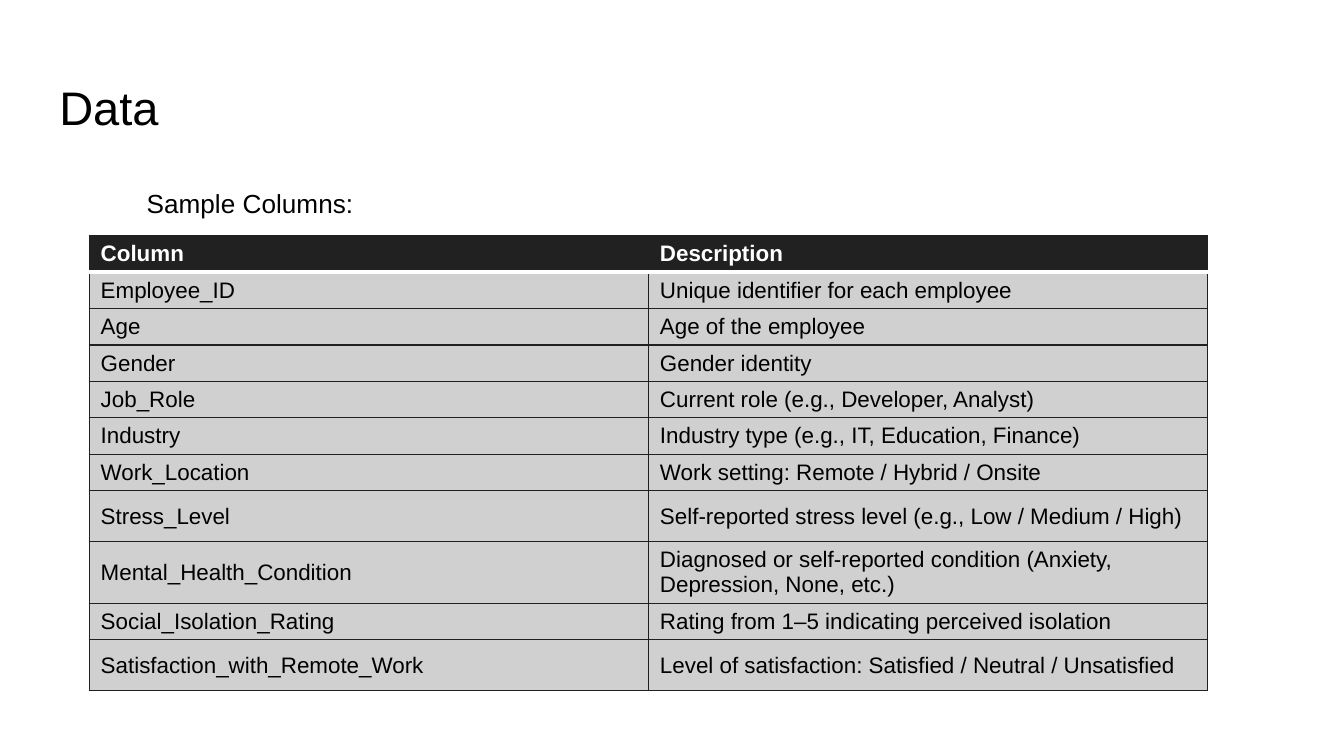
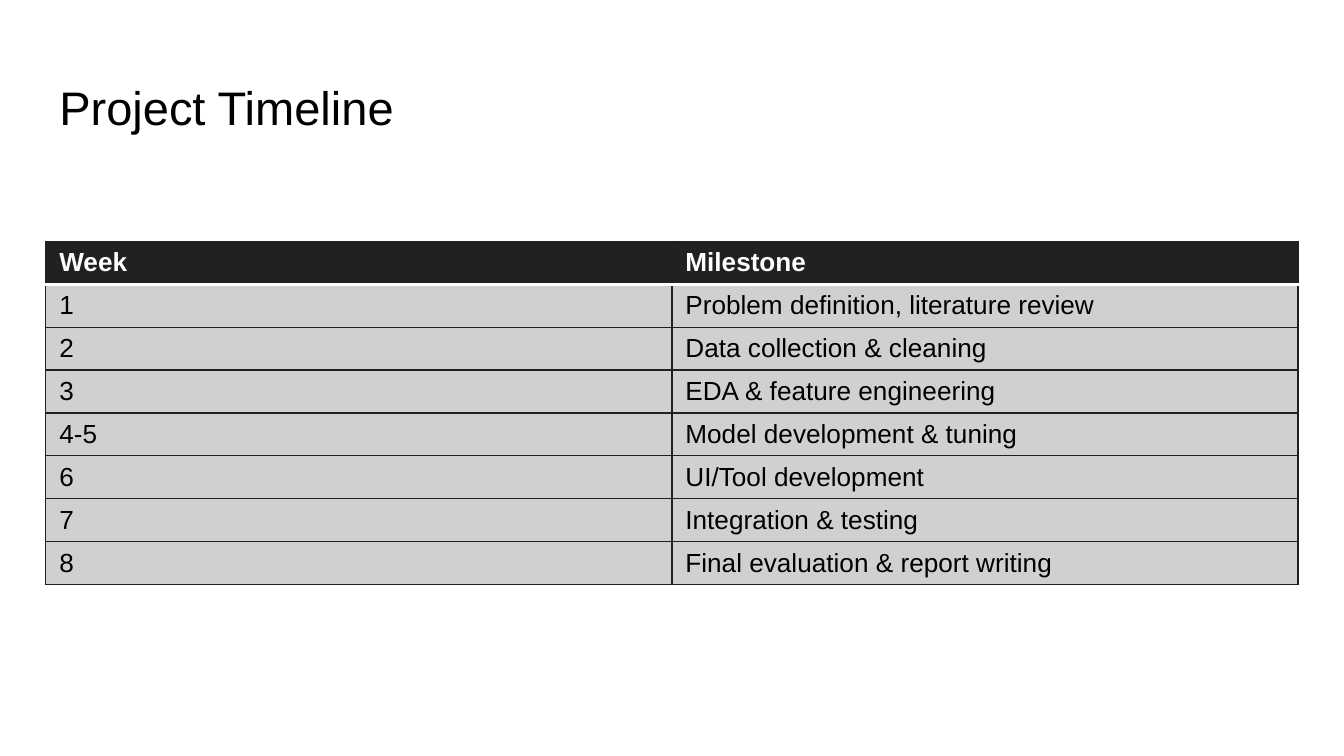
import pptx
import pptx.util
import pptx.dml.color
import pptx.enum.text
import pptx.oxml.ns
import lxml.etree

Pt = pptx.util.Pt
RGBColor = pptx.dml.color.RGBColor
TEXT = pptx.enum.text

# Content
FIELDS = [
    ("Column", "Description"),
    ("Employee_ID", "Unique identifier for each employee"),
    ("Age", "Age of the employee"),
    ("Gender", "Gender identity"),
    ("Job_Role", "Current role (e.g., Developer, Analyst)"),
    ("Industry", "Industry type (e.g., IT, Education, Finance)"),
    ("Work_Location", "Work setting: Remote / Hybrid / Onsite"),
    ("Stress_Level", "Self-reported stress level (e.g., Low / Medium / High)"),
    ("Mental_Health_Condition",
     "Diagnosed or self-reported condition (Anxiety, Depression, None, etc.)"),
    ("Social_Isolation_Rating", "Rating from 1–5 indicating perceived isolation"),
    ("Satisfaction_with_Remote_Work",
     "Level of satisfaction: Satisfied / Neutral / Unsatisfied"),
]
WEEKS = [
    ("Week", "Milestone"),
    ("1", "Problem definition, literature review"),
    ("2", "Data collection & cleaning"),
    ("3", "EDA & feature engineering"),
    ("4-5", "Model development & tuning"),
    ("6", "UI/Tool development"),
    ("7", "Integration & testing"),
    ("8", "Final evaluation & report writing"),
]

# Shared style
FONT = "Arial"
BLACK = RGBColor(0x00, 0x00, 0x00)
WHITE = RGBColor(0xFF, 0xFF, 0xFF)
DARK = RGBColor(0x21, 0x21, 0x21)
EDGE = RGBColor(0x20, 0x20, 0x20)
GREY = RGBColor(0xD0, 0xD0, 0xD0)
LEFT, WIDE = 24.54, 670.9
TALL = {7: 27.3, 8: 33, 10: 27.3}  # taller rows of the field table


def style(para, size, color, bold=False):
    for run in para.runs:
        font = run.font
        font.name, font.size, font.bold = FONT, Pt(size), bold
        font.color.rgb = color


def fill_box(box, text, top, high, size):
    """Place a placeholder on the shared margin and give it one line."""
    box.left, box.top, box.width, box.height = map(Pt, (LEFT, top, WIDE, high))
    frame = box.text_frame
    frame.text = text
    frame.word_wrap = True
    frame.auto_size = TEXT.MSO_AUTO_SIZE.NONE
    frame.vertical_anchor = TEXT.MSO_ANCHOR.TOP
    frame.margin_left = frame.margin_right = Pt(7.2)
    frame.margin_top = frame.margin_bottom = Pt(7.2)
    para = frame.paragraphs[0]
    para.alignment = TEXT.PP_ALIGN.LEFT
    para.space_before = Pt(0)
    style(para, size, BLACK)
    return para


def add_page(deck, layout, title):
    page = deck.slides.add_slide(deck.slide_layouts[layout])
    fill_box(page.shapes.title, title, 35.04, 45.1, 25.2)
    return page


def add_edge(cell, side, color, width):
    name = pptx.oxml.ns.qn
    props = cell._tc.get_or_add_tcPr()
    line = lxml.etree.SubElement(props, name("a:ln" + side), w=str(Pt(width)))
    solid = lxml.etree.SubElement(line, name("a:solidFill"))
    lxml.etree.SubElement(solid, name("a:srgbClr"), val=str(color))


def add_grid(page, rows, left, top, width, highs, size, pad):
    """Add a two-column table with a dark head row and a white rule below it."""
    frame = page.shapes.add_table(
        len(rows), 2, Pt(left), Pt(top), Pt(width), Pt(sum(highs)))
    table = frame.table
    table.horz_banding = False
    for col in table.columns:
        col.width = Pt(width / 2)
    for r, (texts, high) in enumerate(zip(rows, highs)):
        table.rows[r].height = Pt(high)
        head = r == 0
        for c, text in enumerate(texts):
            cell = table.cell(r, c)
            cell.text = text
            cell.vertical_anchor = TEXT.MSO_ANCHOR.MIDDLE
            cell.margin_left = cell.margin_right = Pt(pad[0])
            cell.margin_top = cell.margin_bottom = Pt(pad[1])
            style(cell.text_frame.paragraphs[0], size, WHITE if head else BLACK, head)
            for side in "LRTB":
                rule = (r, side) in ((0, "B"), (1, "T"))
                add_edge(cell, side, WHITE if rule else EDGE, 2 if rule else 0.75)
            cell.fill.solid()
            cell.fill.fore_color.rgb = DARK if head else GREY


def main():
    deck = pptx.Presentation()
    deck.slide_width, deck.slide_height = Pt(720), Pt(405)

    # Data fields
    page = add_page(deck, 1, "Data")
    para = fill_box(page.placeholders[1], "Sample Columns:", 90.75, 285.1, 14)
    para.level = 1
    para.line_spacing = 1.15
    props = para._p.get_or_add_pPr()
    props.set("marL", str(Pt(46.8)))
    props.set("indent", "0")
    lxml.etree.SubElement(props, pptx.oxml.ns.qn("a:buNone"))
    highs = [TALL.get(r, 19.55) for r in range(len(FIELDS))]
    add_grid(page, FIELDS, 47.8, 126.2, 599.2, highs, 12, (6.2, 2.9))

    # Timeline
    page = add_page(deck, 5, "Project Timeline")
    add_grid(page, WEEKS, LEFT, 129.3, WIDE, [23] * len(WEEKS), 14, (7.2, 3.6))

    deck.save("out.pptx")


if __name__ == "__main__":
    main()
